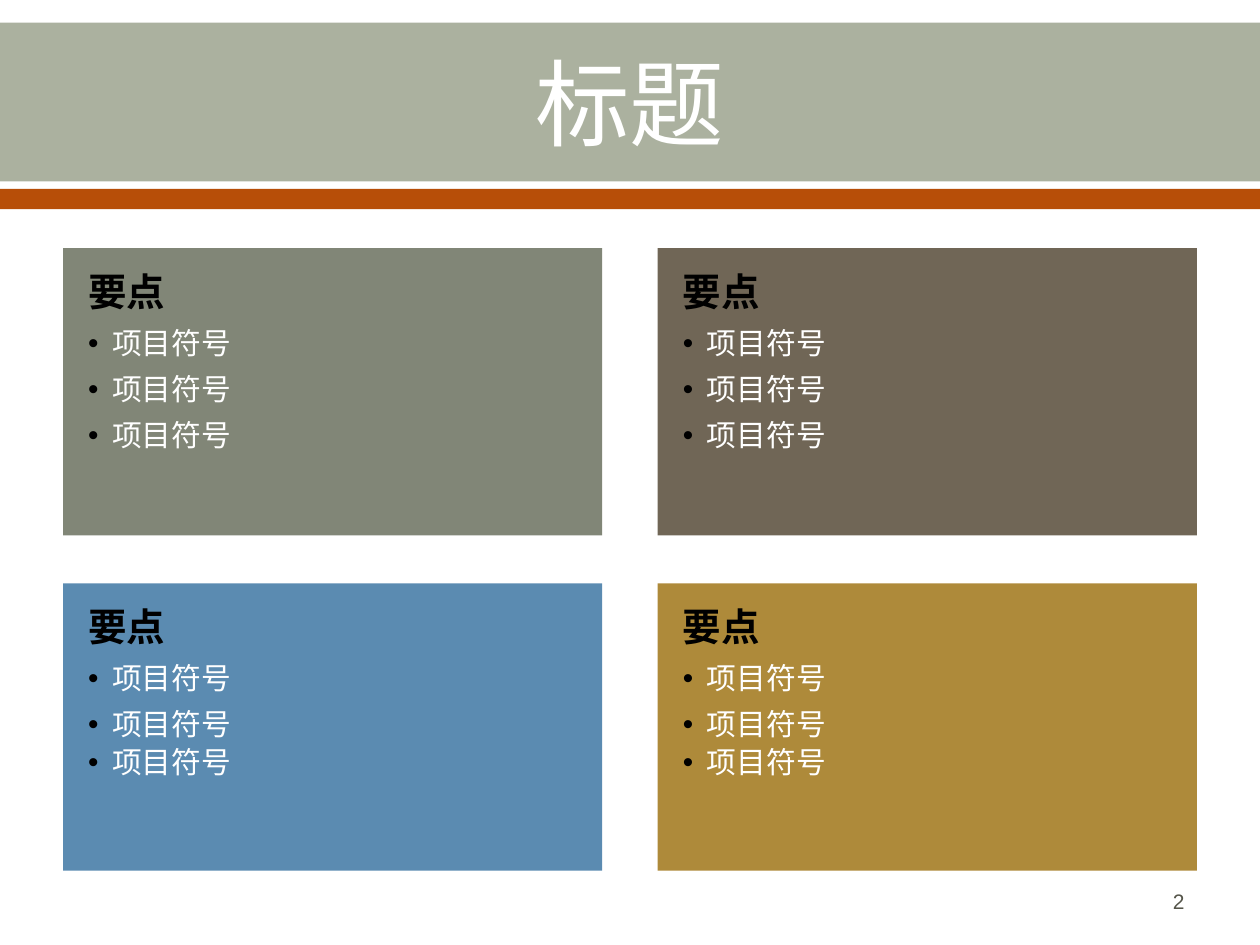
"""Build a title slide with four coloured panels of bullet points."""
import pptx
import pptx.dml.color
import pptx.enum.shapes
import pptx.enum.text
import pptx.oxml
import pptx.oxml.ns
import pptx.util
import lxml.etree

Inches = pptx.util.Inches
Pt = pptx.util.Pt
RGBColor = pptx.dml.color.RGBColor
Align = pptx.enum.text.PP_ALIGN
Anchor = pptx.enum.text.MSO_ANCHOR

WHITE = RGBColor(0xFF, 0xFF, 0xFF)
BLACK = RGBColor(0x00, 0x00, 0x00)
BANNER = RGBColor(0xAB, 0xB1, 0x9F)
RUST = RGBColor(0xB7, 0x4E, 0x08)
NUMBER = RGBColor(0x55, 0x55, 0x4A)
SAGE = RGBColor(0x81, 0x86, 0x77)
BROWN = RGBColor(0x70, 0x66, 0x56)
BLUE = RGBColor(0x5B, 0x8B, 0xB1)
OCHRE = RGBColor(0xAE, 0x8A, 0x3A)

CHINESE = "Noto Sans CJK SC"
TITLE = {"name": CHINESE, "size": Pt(54)}
HEADING = {"name": CHINESE, "size": Pt(22), "bold": True}
ITEM = {"name": CHINESE, "size": Pt(17), "bold": False}
FOOTER = {"name": "Arial", "size": Pt(12)}
PANEL_FRAME = {
    "word_wrap": True,
    "vertical_anchor": Anchor.TOP,
    "margin_left": Inches(0.2),
    "margin_top": Inches(0.2),
    "margin_right": Inches(0.1),
    "margin_bottom": Inches(0.1),
}
LABEL_FRAME = {"word_wrap": True, "vertical_anchor": Anchor.MIDDLE}


def apply(target, values):
    for name, value in values.items():
        setattr(target, name, value)


class SlideBuilder:
    def __init__(self, page):
        self.page = page
        self.indent = Inches(0.19)
        self.line_spacing = 0.9

    def block(self, left, top, width, height, color):
        shape = self.page.shapes.add_shape(
            pptx.enum.shapes.MSO_SHAPE.RECTANGLE,
            Inches(left), Inches(top), Inches(width), Inches(height))
        shape.shadow.inherit = False
        shape.fill.solid()
        shape.fill.fore_color.rgb = color
        shape.line.fill.background()
        return shape

    def span(self, para, text, style, color):
        span = para.add_run()
        span.text = text
        span.font.color.rgb = color
        apply(span.font, style)
        properties = span.font._element
        east_asian = lxml.etree.SubElement(properties, pptx.oxml.ns.qn("a:ea"))
        east_asian.set("typeface", style["name"])

    def label(self, left, top, width, height, text, style, color, align):
        box = self.page.shapes.add_textbox(
            Inches(left), Inches(top), Inches(width), Inches(height))
        apply(box.text_frame, LABEL_FRAME)
        para = box.text_frame.paragraphs[0]
        para.alignment = align
        self.span(para, text, style, color)

    def bullet(self, para):
        para.level = 1
        properties = para._p.get_or_add_pPr()
        properties.set("marL", str(self.indent))
        properties.set("indent", str(-self.indent))
        bullet_color = lxml.etree.SubElement(properties, pptx.oxml.ns.qn("a:buClr"))
        lxml.etree.SubElement(bullet_color, pptx.oxml.ns.qn("a:srgbClr")).set("val", str(BLACK))
        lxml.etree.SubElement(properties, pptx.oxml.ns.qn("a:buFont")).set("typeface", "Arial")
        lxml.etree.SubElement(properties, pptx.oxml.ns.qn("a:buChar")).set("char", "•")

    def panel(self, left, top, width, height, color, heading, items):
        frame = self.block(left, top, width, height, color).text_frame
        apply(frame, PANEL_FRAME)
        para = frame.paragraphs[0]
        spacing = {"alignment": Align.LEFT, "line_spacing": self.line_spacing}
        apply(para, {**spacing, "space_after": Pt(8)})
        self.span(para, heading, HEADING, BLACK)
        for text, gap in items:
            para = frame.add_paragraph()
            self.bullet(para)
            apply(para, {**spacing, "space_after": Pt(gap)})
            self.span(para, text, ITEM, WHITE)


def main():
    deck = pptx.Presentation()
    deck.slide_width, deck.slide_height = Inches(10), Inches(7.5)
    builder = SlideBuilder(deck.slides.add_slide(deck.slide_layouts[6]))

    builder.block(0, 0.18, 10, 1.26, BANNER)
    builder.block(0, 1.5, 10, 0.16, RUST)
    builder.label(0.5, 0.2, 9, 1.22, "标题", TITLE, WHITE, Align.CENTER)

    rows = [
        (1.97, (SAGE, BROWN), (8, 8, 8)),
        (4.63, (BLUE, OCHRE), (8, 3.1, 3.1)),
    ]
    for top, colors, gaps in rows:
        items = [("项目符号", gap) for gap in gaps]
        for left, color in zip((0.5, 5.22), colors):
            builder.panel(left, top, 4.28, 2.28, color, "要点", items)

    builder.label(7.17, 6.95, 2.33, 0.4, "2", FOOTER, NUMBER, Align.RIGHT)
    deck.save("out.pptx")


if __name__ == "__main__":
    main()
